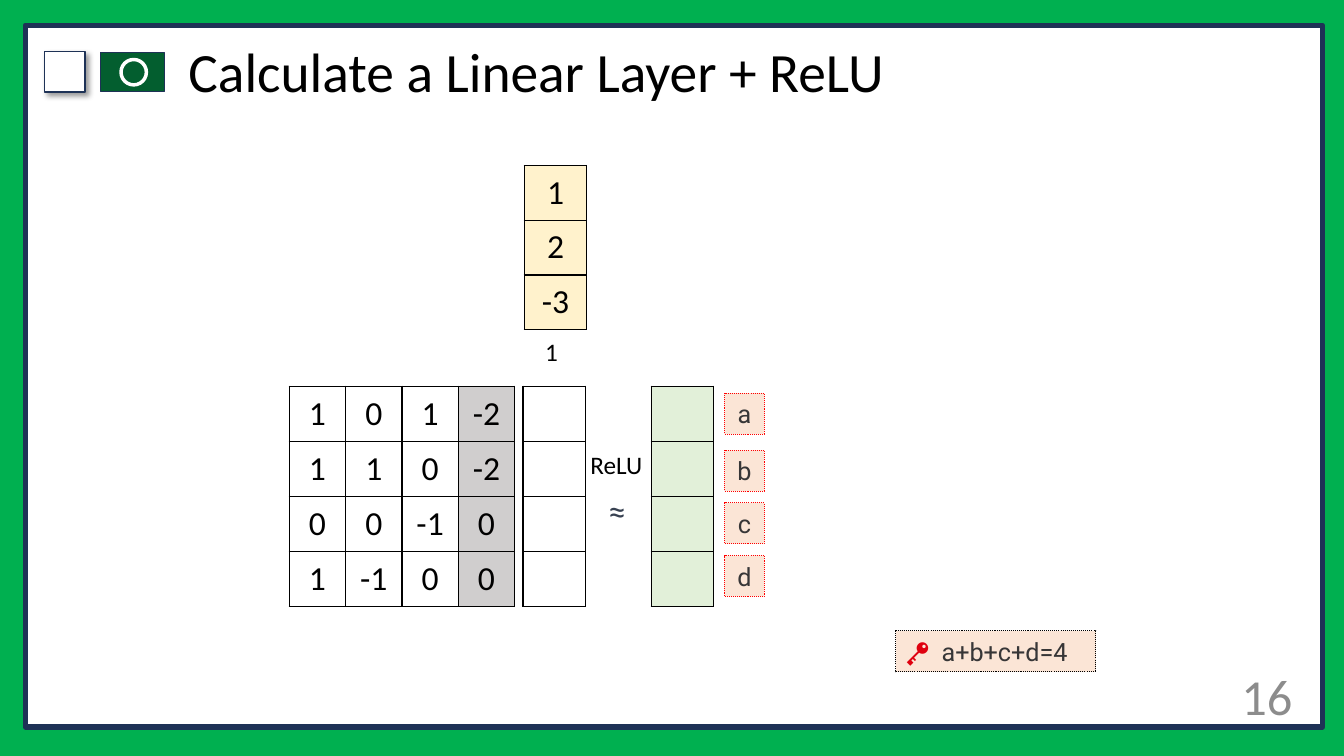
import pptx
import pptx.util
import pptx.dml.color
import pptx.enum.dml
import pptx.enum.shapes
import pptx.enum.text
import pptx.oxml
import pptx.oxml.ns
from lxml import etree
from pptx.util import Cm

COLORS = {
    "frame_green": "00B050",
    "navy": "1E3256",
    "emblem": "035E2F",
    "white": "FFFFFF",
    "black": "000000",
    "page": "8C8C8C",
    "input": "FFF2CC",
    "bias": "D0CECE",
    "output": "E2F0D9",
    "slate": "374151",
    "peach": "FBE5D6",
    "red": "FF0000",
    "key": "DF000F",
    "answer": "373637",
}
ALIGN = pptx.enum.text.PP_ALIGN
MIDDLE = pptx.enum.text.MSO_ANCHOR.MIDDLE
RECT = pptx.enum.shapes.MSO_SHAPE.RECTANGLE
OVAL = pptx.enum.shapes.MSO_SHAPE.OVAL


def rgb(color):
    return pptx.dml.color.RGBColor.from_string(COLORS[color])


def style_run(run, size, color, font="Calibri"):
    run.font.size = pptx.util.Pt(size)
    run.font.name = font
    run.font.color.rgb = rgb(color)


def add_box(slide, kind, place, fill, line, weight, dotted=False):
    box = slide.shapes.add_shape(kind, *map(Cm, place))
    box.shadow.inherit = False
    box.fill.solid()
    box.fill.fore_color.rgb = rgb(fill)
    box.line.color.rgb = rgb(line)
    box.line.width = pptx.util.Pt(weight)
    if dotted:
        box.line.dash_style = pptx.enum.dml.MSO_LINE.ROUND_DOT
    return box


def cast_shadow(box):
    effects = box._element.spPr.find(pptx.oxml.ns.qn("a:effectLst"))
    effects.append(pptx.oxml.parse_xml(
        f'<a:outerShdw {pptx.oxml.ns.nsdecls("a")} blurRad="50800" dist="38100" '
        f'dir="2700000"><a:srgbClr val="{COLORS["black"]}">'
        '<a:alpha val="40000"/></a:srgbClr></a:outerShdw>'))


def add_text(slide, text, place, size, color="black", font="Calibri",
             align=ALIGN.LEFT, anchor=None, wrap=True):
    frame = slide.shapes.add_textbox(*map(Cm, place)).text_frame
    frame.word_wrap = wrap
    frame.vertical_anchor = anchor
    frame.text = text
    paragraph = frame.paragraphs[0]
    paragraph.alignment = align
    style_run(paragraph.runs[0], size, color, font)
    return paragraph


def draw_borders(cell):
    properties = cell._tc.get_or_add_tcPr()
    for side in ("lnL", "lnR", "lnT", "lnB"):
        border = etree.SubElement(properties, pptx.oxml.ns.qn(f"a:{side}"), w="12700")
        fill = etree.SubElement(border, pptx.oxml.ns.qn("a:solidFill"))
        etree.SubElement(fill, pptx.oxml.ns.qn("a:srgbClr"), val=COLORS["black"])


def add_matrix(slide, values, left, top, column_width, row_height, column_fills):
    rows, columns = len(values), len(values[0])
    matrix = slide.shapes.add_table(
        rows, columns, Cm(left), Cm(top),
        Cm(column_width * columns), Cm(row_height * rows)).table
    matrix.first_row = False
    matrix.horz_banding = False
    for column in matrix.columns:
        column.width = Cm(column_width)
    for row, row_values in zip(matrix.rows, values):
        row.height = Cm(row_height)
        for cell, value, fill in zip(row.cells, row_values, column_fills):
            draw_borders(cell)
            if fill:
                cell.fill.solid()
                cell.fill.fore_color.rgb = rgb(fill)
            else:
                cell.fill.background()
            cell.vertical_anchor = MIDDLE
            cell.margin_left = cell.margin_right = Cm(0.24)
            cell.margin_top = cell.margin_bottom = Cm(0.12)
            cell.text = str(value)
            paragraph = cell.text_frame.paragraphs[0]
            paragraph.alignment = ALIGN.CENTER
            for run in paragraph.runs:
                style_run(run, 24, "black")


def add_answer_label(slide, letter, top):
    label = add_box(slide, RECT, (18.26, top, 1, 1.03), "peach", "red", 0.75, True)
    label.text_frame.text = letter
    paragraph = label.text_frame.paragraphs[0]
    paragraph.alignment = ALIGN.CENTER
    style_run(paragraph.runs[0], 18, "answer", "Roboto")


def add_answer_key(slide):
    checksum = add_box(slide, RECT, (22.58, 15.9, 5.04, 1.03), "peach", "black", 0.75, True)
    paragraph = checksum.text_frame.paragraphs[0]
    paragraph.alignment = ALIGN.LEFT
    tabs = etree.SubElement(paragraph._p.get_or_add_pPr(), pptx.oxml.ns.qn("a:tabLst"))
    etree.SubElement(tabs, pptx.oxml.ns.qn("a:tab"), pos=str(Cm(0.9)), algn="l")
    for text, color in (("🔑", "key"), ("\ta+b+c+d=4", "answer")):
        run = paragraph.add_run()
        run.text = text
        style_run(run, 18, color, "Roboto")


def add_frame(slide):
    slide.background.fill.solid()
    slide.background.fill.fore_color.rgb = rgb("frame_green")
    add_box(slide, RECT, (0.64, 0.64, 32.69, 17.68), "white", "navy", 4)
    cast_shadow(add_box(slide, RECT, (1.12, 1.3, 1.02, 1.02), "white", "navy", 1))
    add_box(slide, RECT, (2.54, 1.32, 1.6, 0.99), "emblem", "navy", 1)
    add_box(slide, OVAL, (3.05, 1.5, 0.64, 0.64), "emblem", "white", 2.5)


def main():
    deck = pptx.Presentation()
    deck.slide_width, deck.slide_height = Cm(33.87), Cm(19.05)
    slide = deck.slides.add_slide(deck.slide_layouts[6])

    add_frame(slide)
    title = add_text(slide, "Calculate a Linear Layer + ReLU",
                     (4.5, 1.02, 27.05, 1.73), 39.6, anchor=MIDDLE)
    title.line_spacing = 0.9
    add_text(slide, "16", (29.64, 16.43, 3.18, 2.18), 36, "page",
             align=ALIGN.RIGHT, anchor=MIDDLE)

    inputs = [[1], [2], [-3]]
    weights_and_bias = [[1, 0, 1, -2], [1, 1, 0, -2], [0, 0, -1, 0], [1, -1, 0, 0]]
    unsolved = [[""]] * len(weights_and_bias)
    add_matrix(slide, inputs, 13.21, 4.17, 1.58, 1.38, ["input"])
    add_matrix(slide, weights_and_bias, 7.29, 9.73, 1.42, 1.39,
               [None, None, None, "bias"])
    add_matrix(slide, unsolved, 13.18, 9.73, 1.58, 1.39, [None])
    add_matrix(slide, unsolved, 16.41, 9.73, 1.58, 1.39, ["output"])

    add_text(slide, "ReLU", (14.63, 11.2, 1.83, 1.03), 18)
    add_text(slide, "≈", (15.06, 12.24, 0.89, 1.27), 24, "slate", "Lato")
    add_text(slide, "1", (13.49, 8.36, 0.84, 1.03), 18, wrap=False)

    for letter, top in zip("abcd", (9.91, 11.35, 12.67, 14)):
        add_answer_label(slide, letter, top)
    add_answer_key(slide)

    deck.save("out.pptx")


if __name__ == "__main__":
    main()
